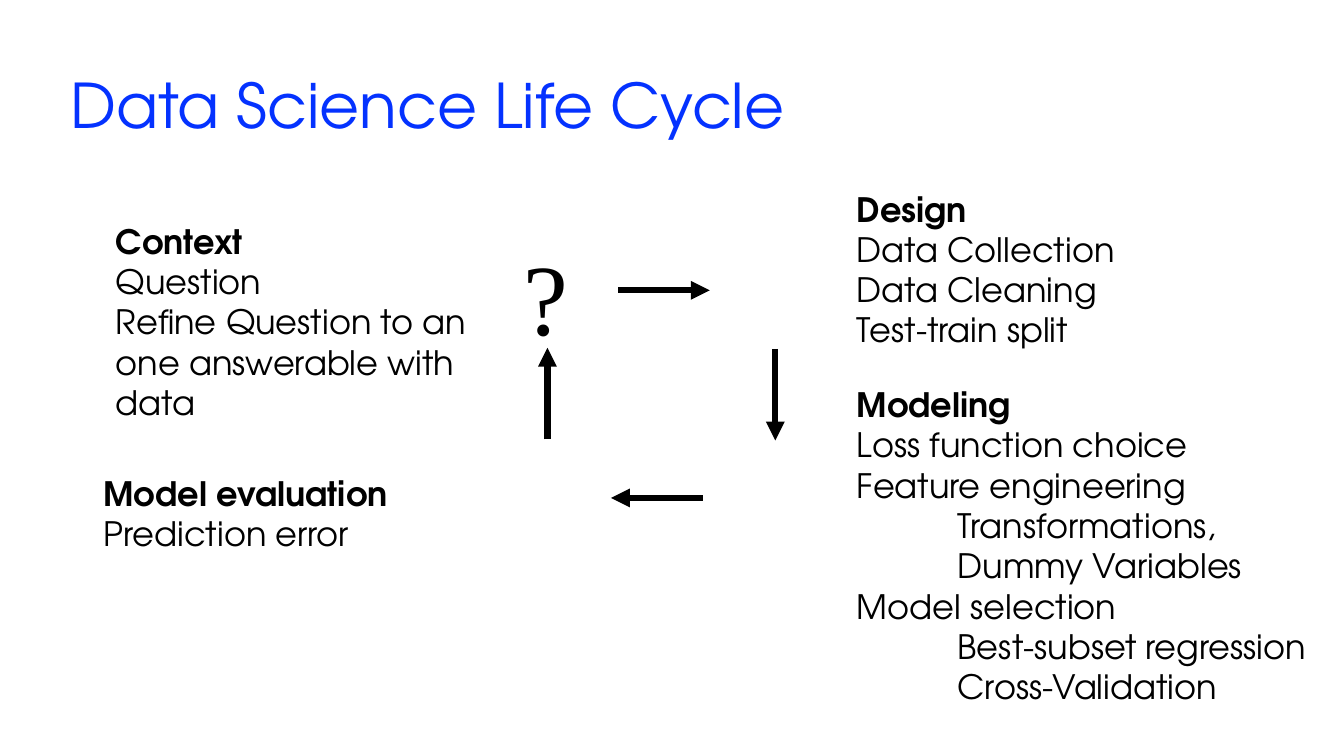
from lxml import etree
from pptx import Presentation
from pptx import util as u
from pptx.dml.color import RGBColor
from pptx.enum import shapes, text
from pptx.oxml.ns import qn

COLORS = {"title": "0432FF", "ink": "000000"}
FONT = "TeX Gyre Adventor"
TITLE = "Data Science Life Cycle"

# heading, items, (left, top, width, height); a nested list is indented
STAGES = [
    ("Context", ["Question", "Refine Question to an one answerable with data"],
     (1.05, 2.14, 4.15, 2.12)),
    ("Design", ["Data Collection", "Data Cleaning", "Test-train split"],
     (8.4, 1.82, 4.15, 2.12)),
    ("Modeling", ["Loss function choice", "Feature engineering",
                  ["Transformations,", "Dummy Variables"],
                  "Model selection",
                  ["Best-subset regression", "Cross-Validation"]],
     (8.4, 3.76, 4.77, 3.33)),
    ("Model evaluation", ["Prediction error"], (0.93, 4.64, 4.15, 0.91)),
]
QUESTION_BOX = (5.09, 2.28, 0.65, 1.31)

# start of each arrow and its direction, clockwise round the cycle
ARROW_LENGTH = 0.91
ARROWS = [
    ((6.13, 2.88), (1, 0)),
    ((7.69, 3.46), (0, 1)),
    ((6.97, 4.94), (-1, 0)),
    ((5.43, 4.36), (0, -1)),
]


def add_span(para, words, size=24, font=FONT, color="ink", bold=False):
    span = para.add_run()
    span.text = words
    span.font.size = u.Pt(size)
    span.font.name = font
    span.font.bold = bold
    span.font.color.rgb = RGBColor.from_string(COLORS[color])


def add_box(page, place, wrap=True):
    box = page.shapes.add_textbox(*map(u.Inches, place))
    box.text_frame.word_wrap = wrap
    return box.text_frame


def add_stage(page, heading, items, place):
    frame = add_box(page, place)
    add_span(frame.paragraphs[0], heading, bold=True)
    for item in items:
        nested = isinstance(item, list)
        for words in item if nested else [item]:
            para = frame.add_paragraph()
            if nested:
                para._p.get_or_add_pPr().set("marL", str(u.Inches(1)))
            add_span(para, words)


def add_arrow(page, start, direction):
    end = [a + ARROW_LENGTH * d for a, d in zip(start, direction)]
    arrow = page.shapes.add_connector(
        shapes.MSO_CONNECTOR.STRAIGHT, *map(u.Inches, (*start, *end)))
    arrow.line.width = u.Pt(4.5)
    arrow.line.color.rgb = RGBColor.from_string(COLORS["ink"])
    etree.SubElement(arrow.line._get_or_add_ln(), qn("a:tailEnd"), type="triangle")
    etree.SubElement(arrow._element.spPr, qn("a:effectLst"))


def main():
    deck = Presentation()
    deck.slide_width, deck.slide_height = u.Inches(13.33), u.Inches(7.5)
    page = deck.slides.add_slide(deck.slide_layouts[5])

    title = page.shapes.title
    title.left, title.top, title.width, title.height = map(
        u.Inches, (0.6, 0.35, 11.81, 1.45))
    title.text_frame.vertical_anchor = text.MSO_ANCHOR.MIDDLE
    para = title.text_frame.paragraphs[0]
    para.alignment = text.PP_ALIGN.LEFT
    para.line_spacing = 0.9
    add_span(para, TITLE, size=44, color="title")

    for start, direction in ARROWS:
        add_arrow(page, start, direction)
    question = add_box(page, QUESTION_BOX, wrap=False)
    add_span(question.paragraphs[0], "?", size=72, font="Times New Roman")
    for heading, items, place in STAGES:
        add_stage(page, heading, items, place)

    deck.save("out.pptx")


if __name__ == "__main__":
    main()
